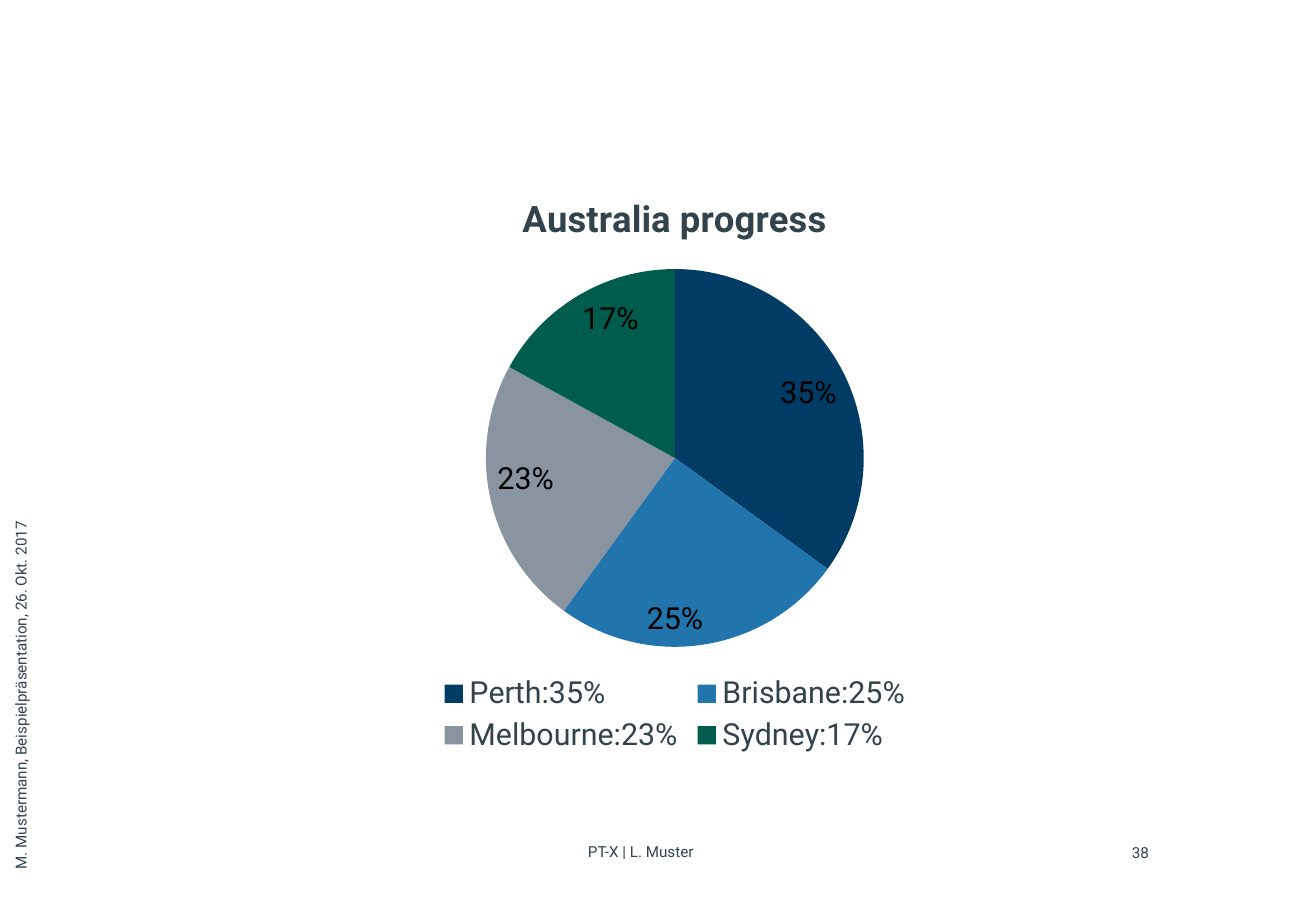
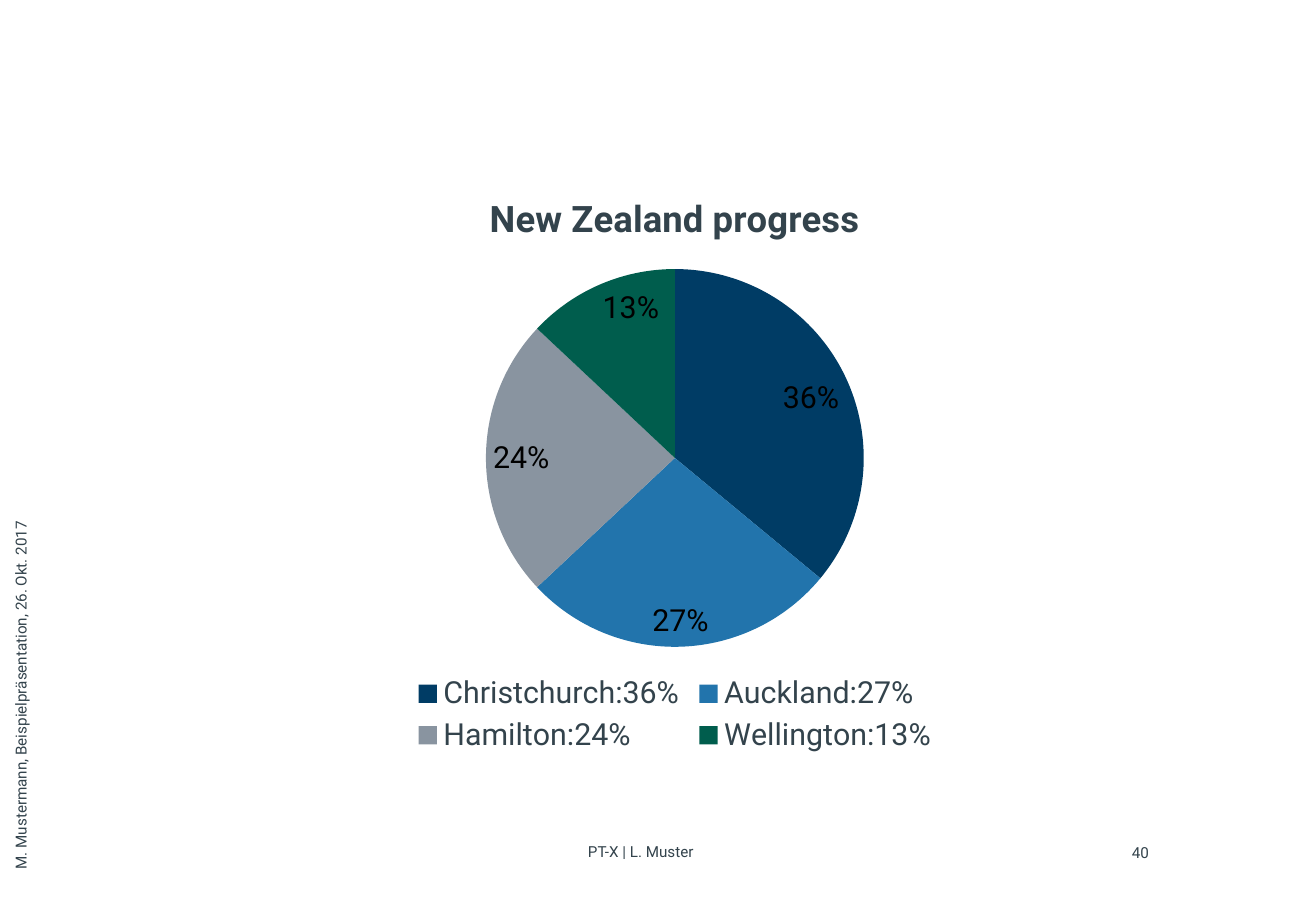
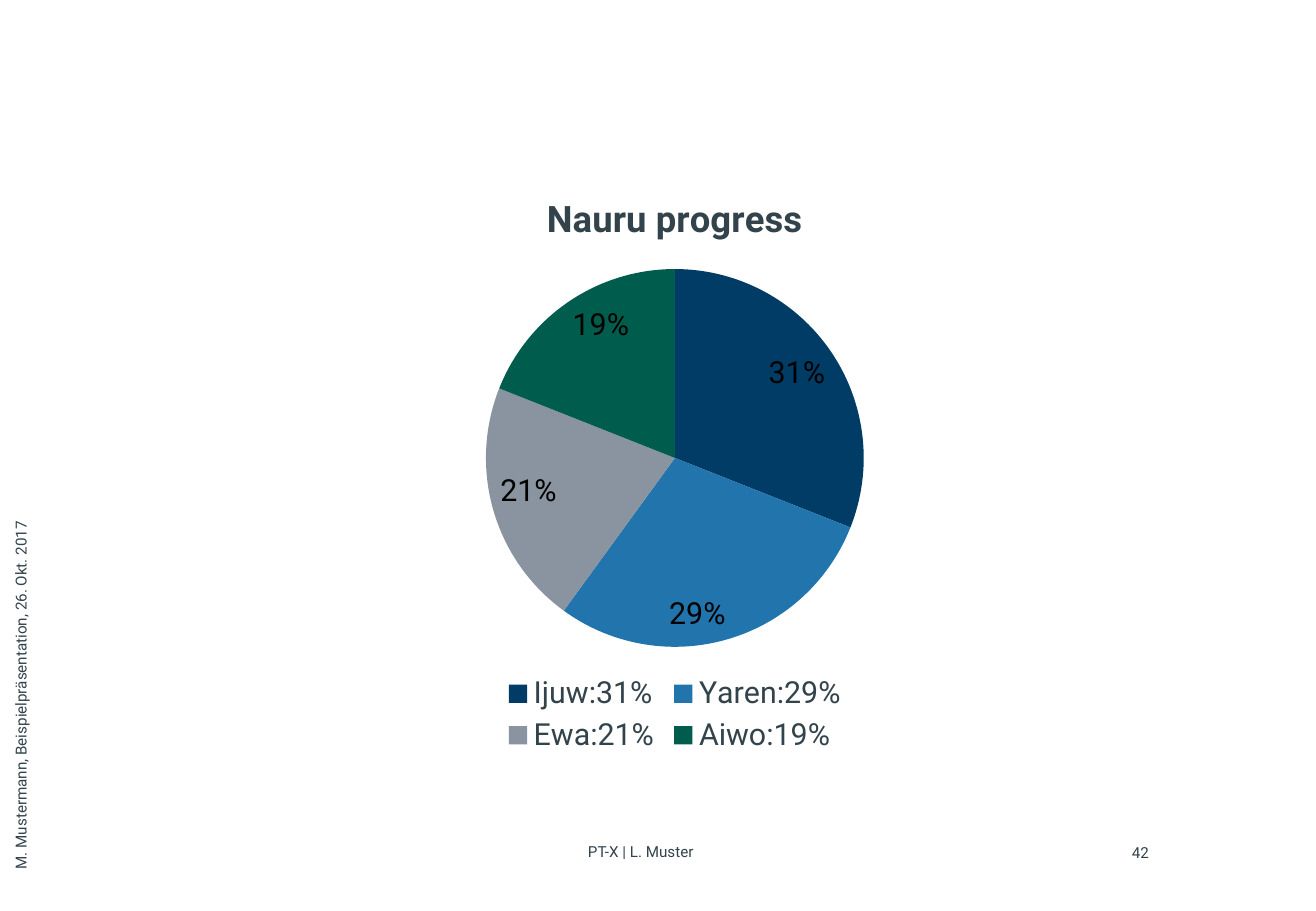
from lxml.etree import SubElement
from pptx import Presentation
from pptx.chart.data import CategoryChartData
from pptx.dml.color import RGBColor
from pptx.enum.chart import XL_CHART_TYPE, XL_LABEL_POSITION, XL_LEGEND_POSITION
from pptx.enum.text import PP_ALIGN
from pptx.oxml.ns import qn
from pptx.util import Pt

SLATE = RGBColor(0x33, 0x43, 0x4C)
BLACK = RGBColor(0x00, 0x00, 0x00)
SLICE_COLORS = [
    RGBColor(0x00, 0x3C, 0x65),
    RGBColor(0x22, 0x74, 0xAC),
    RGBColor(0x89, 0x94, 0xA0),
    RGBColor(0x00, 0x5D, 0x4D),
]
FONT = "Roboto"

# left, top, width, height in points
FOOTER_BOX = (348.5, 499, 220, 16)
NUMBER_BOX = (653, 499.7, 28, 11.5)
SIDE_BOX = (-108, 384.5, 245.5, 16)
CHART_BOX = (200, 100, 400, 350)
# fractions of the chart
PIE_AREA = {"x": 0.22, "y": 0.17, "w": 0.56, "h": 0.64}

PROGRESS = [
    (38, "Australia", {"Perth": 35, "Brisbane": 25, "Melbourne": 23, "Sydney": 17}),
    (40, "New Zealand", {"Christchurch": 36, "Auckland": 27, "Hamilton": 24, "Wellington": 13}),
    (42, "Nauru", {"Ijuw": 31, "Yaren": 29, "Ewa": 21, "Aiwo": 19}),
]


def set_font(font, size, color=SLATE, bold=False):
    font.name = FONT
    font.size = Pt(size)
    font.bold = bold
    font.color.rgb = color


def add_small_text(slide, box, text, alignment=PP_ALIGN.LEFT, rotation=0):
    shape = slide.shapes.add_textbox(*map(Pt, box))
    shape.rotation = rotation
    frame = shape.text_frame
    frame.word_wrap = True
    frame.margin_left = frame.margin_top = frame.margin_right = frame.margin_bottom = 0
    paragraph = frame.paragraphs[0]
    paragraph.text = text
    paragraph.alignment = alignment
    set_font(paragraph.font, 9)


def add_page_frame(slide, number):
    """Add the footer, the page number and the vertical line of text."""
    add_small_text(slide, FOOTER_BOX, "PT-X | L. Muster")
    add_small_text(slide, NUMBER_BOX, str(number), PP_ALIGN.RIGHT)
    add_small_text(slide, SIDE_BOX, "M. Mustermann, Beispielpräsentation, 26. Okt. 2017",
                   rotation=270)


def place_plot(chart, area):
    """Fix the inner plot area at the given fractions of the chart."""
    plot_area = chart.element.find(".//" + qn("c:plotArea"))
    layout = plot_area.find(qn("c:layout"))
    if layout is None:
        layout = SubElement(plot_area, qn("c:layout"))
        plot_area.insert(0, layout)
    manual = SubElement(layout, qn("c:manualLayout"))
    settings = {"layoutTarget": "inner", "xMode": "edge", "yMode": "edge", **area}
    for name, value in settings.items():
        SubElement(manual, qn("c:" + name)).set("val", str(value))


def add_progress_pie(slide, box, title, shares):
    data = CategoryChartData()
    data.categories = [f"{city}:{share}%" for city, share in shares.items()]
    data.add_series("Series 1", shares.values())
    chart = slide.shapes.add_chart(XL_CHART_TYPE.PIE, *map(Pt, box), data).chart
    set_font(chart.font, 18)

    chart.has_title = True
    paragraph = chart.chart_title.text_frame.paragraphs[0]
    paragraph.text = title
    set_font(paragraph.font, 21.6, bold=True)

    chart.has_legend = True
    chart.legend.position = XL_LEGEND_POSITION.BOTTOM
    chart.legend.include_in_layout = False
    set_font(chart.legend.font, 18)

    plot = chart.plots[0]
    plot.vary_by_categories = True
    for index, color in enumerate(SLICE_COLORS):
        fill = plot.series[0].points[index].format.fill
        fill.solid()
        fill.fore_color.rgb = color

    plot.has_data_labels = True
    labels = plot.data_labels
    labels.show_value = False
    labels.show_percentage = True
    labels.number_format = "0%"
    labels.number_format_is_linked = False
    labels.position = XL_LABEL_POSITION.INSIDE_END
    set_font(labels.font, 18, BLACK)
    place_plot(chart, PIE_AREA)


def main():
    presentation = Presentation()
    presentation.slide_width = Pt(780)
    presentation.slide_height = Pt(540)
    blank_layout = presentation.slide_layouts[6]
    for number, country, shares in PROGRESS:
        slide = presentation.slides.add_slide(blank_layout)
        add_page_frame(slide, number)
        add_progress_pie(slide, CHART_BOX, f"{country} progress", shares)
    presentation.save("out.pptx")


if __name__ == "__main__":
    main()
